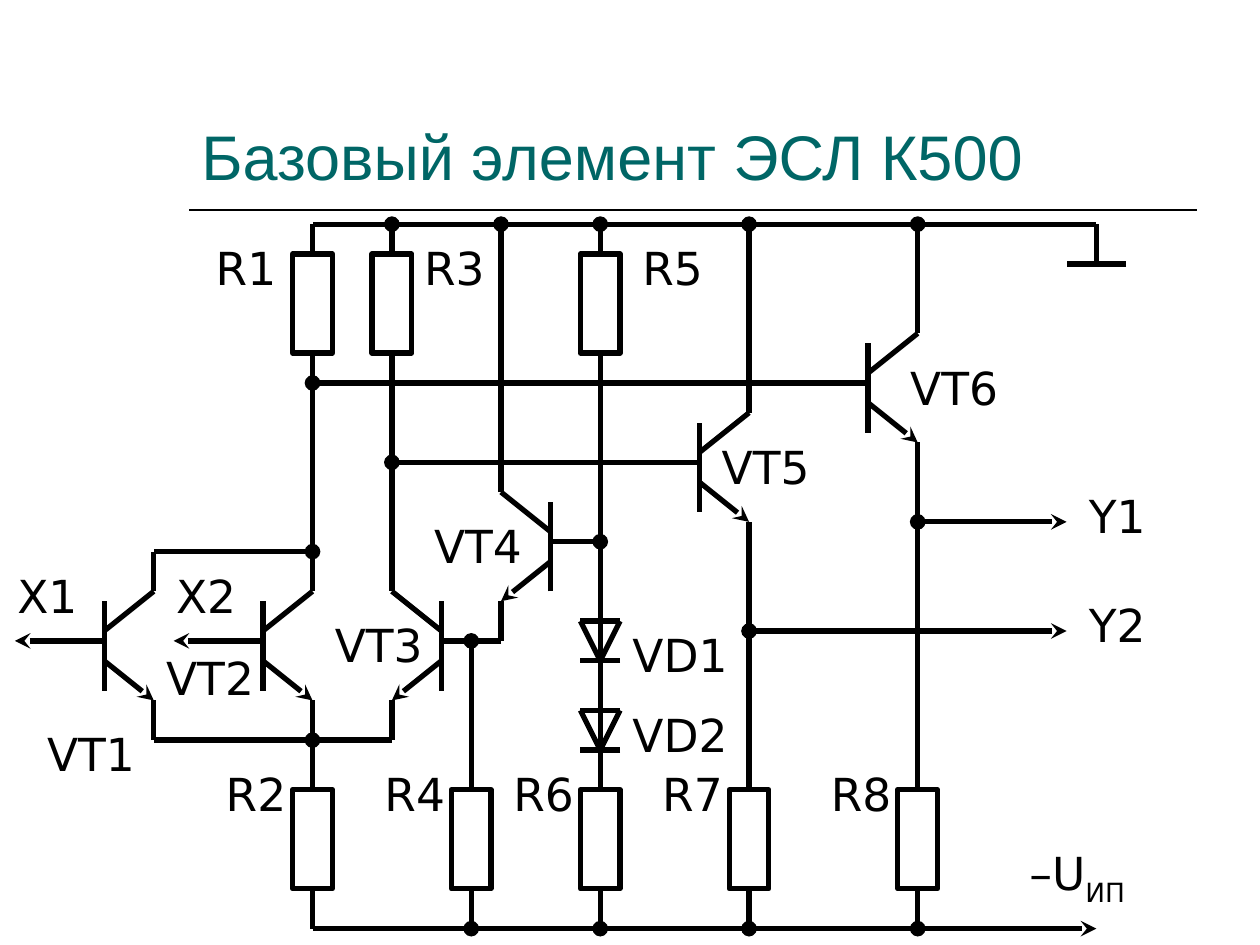
"""Draw the circuit diagram of the K500 emitter-coupled logic gate."""
from dataclasses import dataclass
from typing import Any, NamedTuple

from lxml.etree import SubElement
from pptx import Presentation
from pptx.dml.color import RGBColor
from pptx.enum.shapes import MSO_CONNECTOR as Link, MSO_SHAPE as Preset
from pptx.enum.text import MSO_ANCHOR as Anchor
from pptx.oxml.ns import qn
from pptx.util import Cm, Pt

BLACK = RGBColor(0x00, 0x00, 0x00)
WHITE = RGBColor(0xFF, 0xFF, 0xFF)
TEAL = RGBColor(0x00, 0x66, 0x66)
TOP_RAIL, BOTTOM_RAIL, EMITTER_RAIL = 4.52, 18.72, 14.92
INPUT_BASE = 12.92
RESISTOR_WIDTH, RESISTOR_HEIGHT = 0.8, 2


class Pin(NamedTuple):
    x: float
    y: float
    body: Any = None
    site: int = 0


@dataclass
class Resistor:
    x: float
    top: float
    rail_dot: str = "oval"


@dataclass
class Transistor:
    x: float
    base: float
    side: int = 1


@dataclass
class Label:
    text: str
    x: float
    y: float
    width: float = 2.6


@dataclass
class Wire:
    start: Pin
    end: Pin
    head: str = ""
    tail: str = ""


def draw_wire(page, wire: Wire, weight: float = 3) -> None:
    start, end = wire.start, wire.end
    line = page.shapes.add_connector(
        Link.STRAIGHT, Cm(start.x), Cm(start.y), Cm(end.x), Cm(end.y))
    if start.body is not None:
        line.begin_connect(start.body, start.site)
    if end.body is not None:
        line.end_connect(end.body, end.site)
    line.line.color.rgb = BLACK
    line.line.width = Pt(weight)
    properties = line.line._get_or_add_ln()
    for tag, kind in (("a:headEnd", wire.head), ("a:tailEnd", wire.tail)):
        if kind:
            SubElement(properties, qn(tag), type=kind)
    SubElement(line._element.spPr, qn("a:effectLst"))


def draw_resistor(page, part: Resistor) -> tuple[Pin, Pin]:
    body = page.shapes.add_shape(
        Preset.RECTANGLE, Cm(part.x - RESISTOR_WIDTH / 2), Cm(part.top),
        Cm(RESISTOR_WIDTH), Cm(RESISTOR_HEIGHT))
    body.shadow.inherit = False
    body.fill.solid()
    body.fill.fore_color.rgb = WHITE
    body.line.color.rgb = BLACK
    body.line.width = Pt(3)
    return (Pin(part.x, part.top, body, 0),
            Pin(part.x, part.top + RESISTOR_HEIGHT, body, 2))


def draw_transistor(page, part: Transistor) -> None:
    x, base, outer = part.x, part.base, part.x + part.side
    draw_wire(page, Wire(Pin(x, base + 1), Pin(x, base - 0.8)))
    draw_wire(page, Wire(Pin(outer, base + 1.2), Pin(x, base + 0.4), "stealth"))
    draw_wire(page, Wire(Pin(x, base - 0.2), Pin(outer, base - 1)))


def draw_diode(page, x: float, top: float) -> None:
    left, right, bottom = x - 0.4, x + 0.4, top + 0.8
    for start, end in ((Pin(right, bottom), Pin(left, bottom)),
                       (Pin(right, top), Pin(left, top)),
                       (Pin(x, bottom), Pin(left, top)),
                       (Pin(x, bottom), Pin(right, top))):
        draw_wire(page, Wire(start, end))


def add_text(page, text: str, *, x: float, y: float, width: float,
             height: float = 1.37, size: float = 26, font: str = "DejaVu Sans",
             color: RGBColor = BLACK, anchor=Anchor.TOP, subscript: str = "") -> None:
    box = page.shapes.add_textbox(Cm(x), Cm(y), Cm(width), Cm(height))
    frame = box.text_frame
    frame.word_wrap = True
    frame.vertical_anchor = anchor
    para = frame.paragraphs[0]
    for part in filter(None, (text, subscript)):
        span = para.add_run()
        span.text = part
        span.font.size = Pt(size)
        span.font.name = font
        span.font.color.rgb = color
        if part == subscript:
            span._r.get_or_add_rPr().set("baseline", "-25000")


def main() -> None:
    deck = Presentation()
    deck.slide_width, deck.slide_height = Cm(25.4), Cm(19.05)
    page = deck.slides.add_slide(deck.slide_layouts[6])

    draw_wire(page, Wire(Pin(3.81, 4.24), Pin(24.13, 4.24)), weight=1)
    add_text(page, "Базовый элемент ЭСЛ К500", x=3.81, y=0.84, width=20.32,
             height=3.18, size=36, font="Arial", color=TEAL, anchor=Anchor.BOTTOM)

    upper = {"R1": Resistor(6.3, 5.12, ""), "R3": Resistor(7.9, 5.12),
             "R5": Resistor(12.1, 5.12)}
    lower = {"R2": Resistor(6.3, 15.92, ""), "R4": Resistor(9.5, 15.92),
             "R6": Resistor(12.1, 15.92), "R7": Resistor(15.1, 15.92),
             "R8": Resistor(18.5, 15.92)}
    inner = {}
    for name, part in upper.items():
        top, inner[name] = draw_resistor(page, part)
        draw_wire(page, Wire(top, Pin(part.x, TOP_RAIL), tail=part.rail_dot))
    for name, part in lower.items():
        inner[name], bottom = draw_resistor(page, part)
        draw_wire(page, Wire(bottom, Pin(part.x, BOTTOM_RAIL), tail=part.rail_dot))
        add_text(page, name, x=part.x - 2, y=15.32, width=1.8)

    wires = [
        Wire(Pin(22.1, TOP_RAIL), Pin(6.3, TOP_RAIL)),
        Wire(Pin(22.1, 5.32), Pin(22.1, TOP_RAIL)),
        Wire(Pin(22.7, 5.32), Pin(21.5, 5.32)),
        Wire(Pin(22.1, BOTTOM_RAIL), Pin(6.3, BOTTOM_RAIL), "stealth"),
        Wire(Pin(7.9, EMITTER_RAIL), Pin(3.1, EMITTER_RAIL)),
        Wire(inner["R1"], Pin(6.3, 11.12)),
        Wire(inner["R3"], Pin(7.9, 11.92)),
        Wire(inner["R6"], inner["R5"]),
        Wire(inner["R2"], Pin(6.3, EMITTER_RAIL), tail="oval"),
        Wire(inner["R4"], Pin(9.5, INPUT_BASE), tail="oval"),
        Wire(inner["R7"], Pin(15.1, 10.52)),
        Wire(inner["R8"], Pin(18.5, 8.92)),
        Wire(Pin(3.1, 11.92), Pin(3.1, 11.12)),
        Wire(Pin(6.3, 11.12), Pin(3.1, 11.12)),
        Wire(Pin(6.3, 11.92), Pin(6.3, 11.12), tail="oval"),
        Wire(Pin(10.1, INPUT_BASE), Pin(8.9, INPUT_BASE)),
        Wire(Pin(10.1, INPUT_BASE), Pin(10.1, 12.12)),
        Wire(Pin(10.1, 9.92), Pin(10.1, TOP_RAIL), tail="oval"),
        Wire(Pin(15.1, 8.32), Pin(15.1, TOP_RAIL), tail="oval"),
        Wire(Pin(18.5, 6.72), Pin(18.5, TOP_RAIL), tail="oval"),
        Wire(Pin(11.1, 10.92), Pin(12.1, 10.92), tail="oval"),
        Wire(Pin(14.1, 9.32), Pin(7.9, 9.32), tail="oval"),
        Wire(Pin(17.5, 7.72), Pin(6.3, 7.72), tail="oval"),
        Wire(Pin(21.5, 10.52), Pin(18.5, 10.52), "stealth", "oval"),
        Wire(Pin(21.5, 12.72), Pin(15.1, 12.72), "stealth", "oval"),
    ]
    wires += [Wire(Pin(x, EMITTER_RAIL), Pin(x, 14.12)) for x in (3.1, 6.3, 7.9)]
    wires += [Wire(Pin(x - 1.8, INPUT_BASE), Pin(x, INPUT_BASE), "stealth")
              for x in (2.1, 5.3)]
    for wire in wires:
        draw_wire(page, wire)

    for part in (Transistor(2.1, INPUT_BASE), Transistor(5.3, INPUT_BASE),
                 Transistor(8.9, INPUT_BASE, -1), Transistor(11.1, 10.92, -1),
                 Transistor(14.1, 9.32), Transistor(17.5, 7.72)):
        draw_transistor(page, part)
    for top in (12.52, 14.32):
        draw_diode(page, 12.1, top)

    for label in (
            Label("R1", 4.1, 4.72, 1.8), Label("R3", 8.3, 4.72, 1.8),
            Label("R5", 12.7, 4.72, 1.8), Label("VT1", 0.7, 14.52),
            Label("VT2", 3.1, 12.98), Label("VT3", 6.5, 12.32),
            Label("VT4", 8.5, 10.32), Label("VT5", 14.3, 8.72),
            Label("VT6", 18.1, 7.13), Label("VD1", 12.5, 12.52, 3.2),
            Label("VD2", 12.5, 14.12, 3.2), Label("X1", 0.1, 11.32, 2),
            Label("X2", 3.3, 11.32, 2), Label("Y1", 21.7, 9.72, 2),
            Label("Y2", 21.7, 11.92, 2)):
        add_text(page, label.text, x=label.x, y=label.y, width=label.width)
    add_text(page, "–U", x=20.5, y=16.92, width=3.4, height=1.52, subscript="ИП")
    deck.save("out.pptx")


if __name__ == "__main__":
    main()
